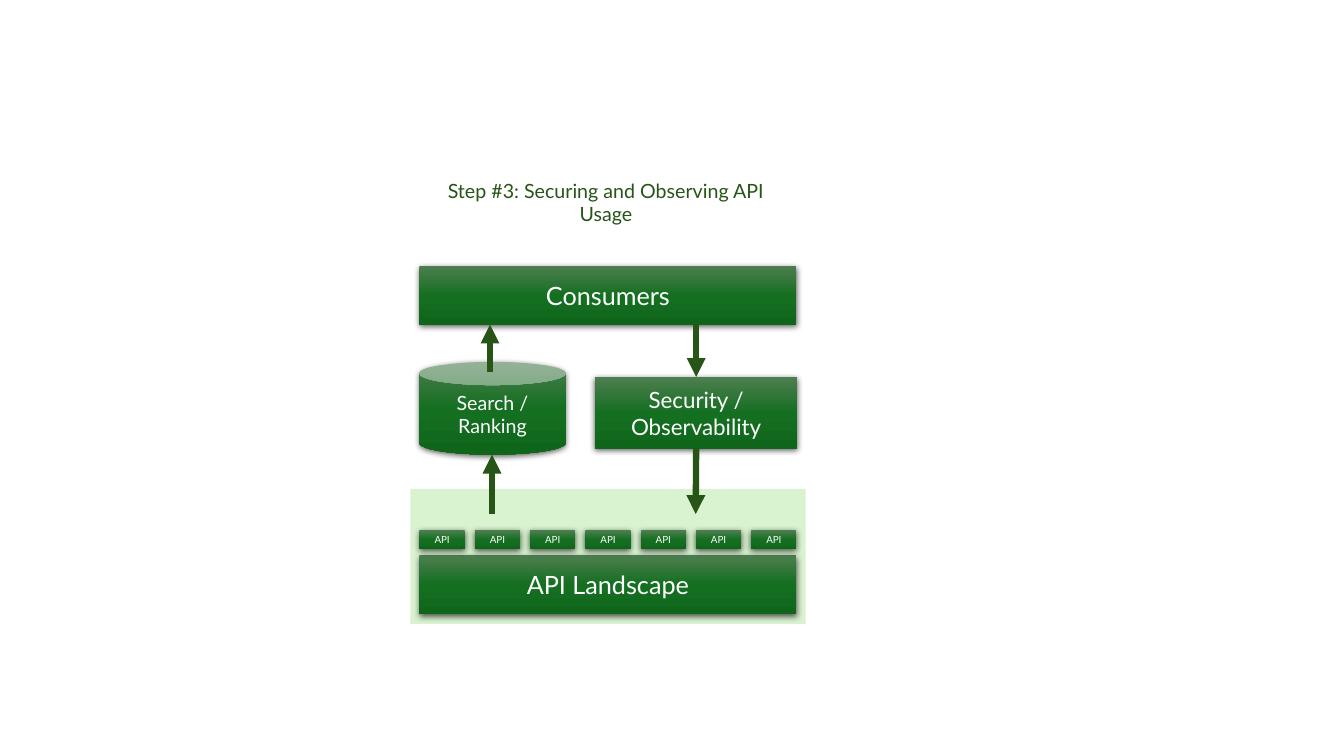
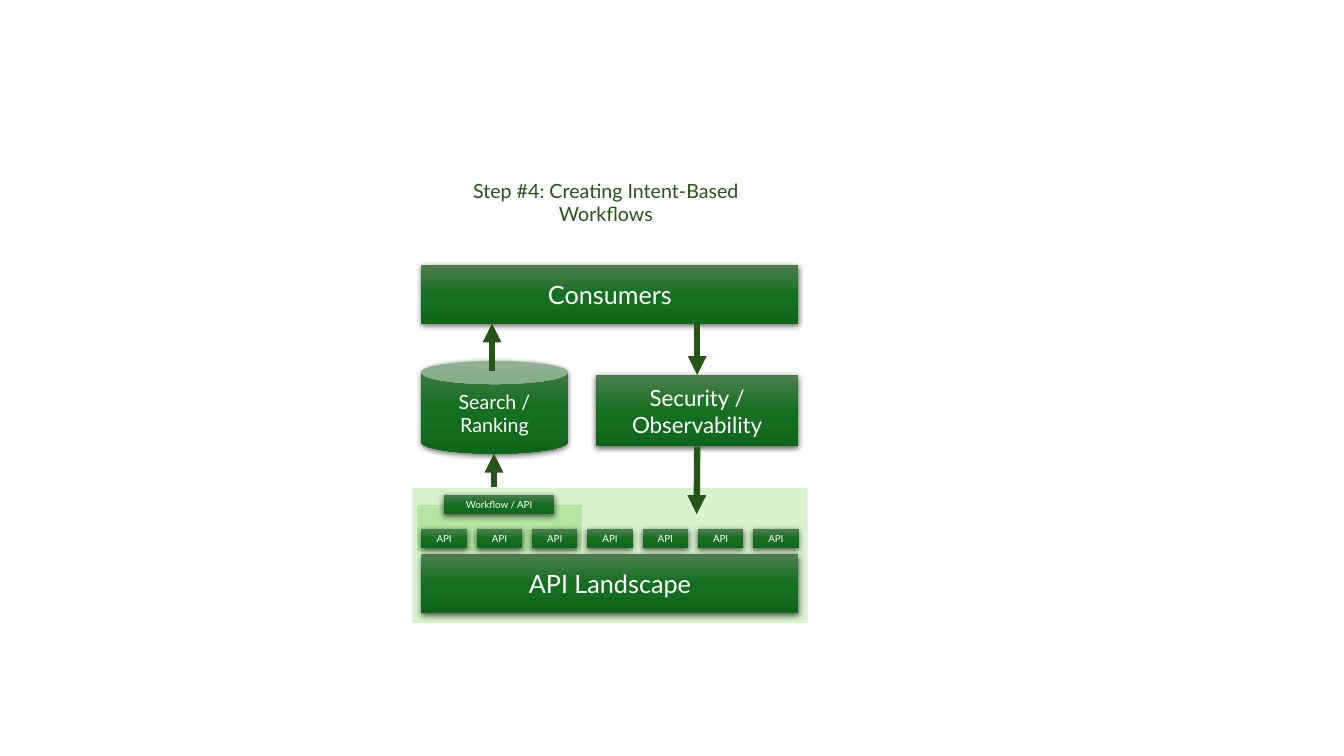
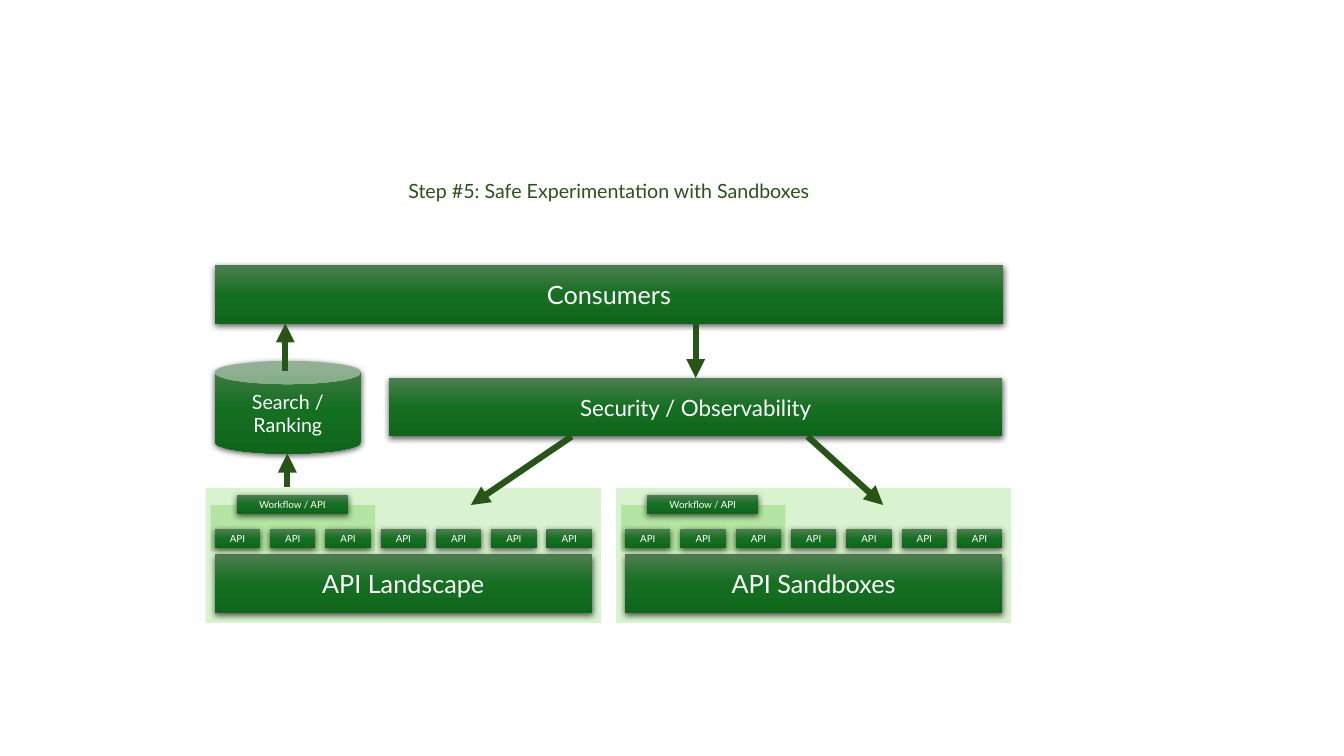
"""Three diagrams of an API landscape and its consumers, step by step."""
from pptx import Presentation
from pptx import util as u
from pptx.dml.color import RGBColor
from pptx.enum import shapes, text
from pptx.oxml import parse_xml
from pptx.oxml.ns import nsdecls

HUES = {"pale": "D9F2D0", "band": "B4E5A2", "dark": "275417", "white": "FFFFFF",
        "top": "4D7E50", "mid": "156F21", "low": "0F661B", "shade": "000000"}
GRAD = f"""<a:gradFill {nsdecls("a")} rotWithShape="1"><a:gsLst>
<a:gs pos="0"><a:srgbClr val="{HUES["top"]}"/></a:gs>
<a:gs pos="50000"><a:srgbClr val="{HUES["mid"]}"/></a:gs>
<a:gs pos="100000"><a:srgbClr val="{HUES["low"]}"/></a:gs>
</a:gsLst><a:lin ang="5400000" scaled="0"/></a:gradFill>"""
GLOW = f"""<a:effectLst {nsdecls("a")}>
<a:outerShdw blurRad="57150" dist="19050" dir="5400000" algn="ctr" rotWithShape="0">
<a:srgbClr val="{HUES["shade"]}"><a:alpha val="63000"/></a:srgbClr>
</a:outerShdw></a:effectLst>"""
HEAD = f'<a:tailEnd {nsdecls("a")} type="triangle"/>'
FLAT = f'<a:effectLst {nsdecls("a")}/>'
RECT, CAN = shapes.MSO_SHAPE.RECTANGLE, shapes.MSO_SHAPE.CAN
BAR, TALL, TAG, COUNT = 3.74, 0.58, 0.45, 7
STEP = (BAR - TAG) / (COUNT - 1)


def write(shape, words, size=18, hue="white", anchor=text.MSO_ANCHOR.MIDDLE):
    """Put centred text in a shape."""
    frame = shape.text_frame
    frame.word_wrap = True
    frame.vertical_anchor = anchor
    frame.text = words
    for par in frame.paragraphs:
        par.alignment = text.PP_ALIGN.CENTER
        par.font.name = "Lato"
        par.font.size = u.Pt(size)
        par.font.color.rgb = RGBColor.from_string(HUES[hue])


def block(slide, left, top, width, height, words="", size=18, kind=RECT, fill=None):
    """Add a plain shape with a fill, or a shaded green one with text."""
    shape = slide.shapes.add_shape(kind, *map(u.Inches, (left, top, width, height)))
    shape.line.fill.background()
    if fill:
        shape.shadow.inherit = False
        shape.fill.solid()
        shape.fill.fore_color.rgb = RGBColor.from_string(HUES[fill])
    else:
        props = shape._element.spPr
        props.insert(2, parse_xml(GRAD))
        props.append(parse_xml(GLOW))
        write(shape, words, size)
    return shape


deck = Presentation()
deck.slide_width, deck.slide_height = u.Inches(13.33), u.Inches(7.5)

steps = [
    dict(title="Step #3: Securing and Observing API Usage", head=(4.15, 3.72, 0.57),
         left=4.16, drop=0.01, wide=BAR, flow=False, guard=(5.9, 3.74, 2.01, 0.71),
         zones=[(4.16, "API Landscape")], fan=[(6.9, 6.9, 5.1)]),
    dict(title="Step #4: Creating Intent-Based Workflows", head=(4.15, 3.72, 0.57),
         left=4.18, drop=0, wide=BAR, flow=True, guard=(5.91, 3.72, 2.01, 0.71),
         zones=[(4.18, "API Landscape")], fan=[(6.91, 6.91, 5.1)]),
    dict(title="Step #5: Safe Experimentation with Sandboxes", head=(2.13, 7.82, 0.34),
         left=2.13, drop=0, wide=7.82, flow=True, guard=(3.86, 3.75, 6.08, TALL),
         zones=[(2.13, "API Landscape"), (6.2, "API Sandboxes")],
         fan=[(5.67, 4.67, 5.01), (8.01, 8.76, 5.01)]),
]

for step in steps:
    slide = deck.slides.add_slide(deck.slide_layouts[5])
    left, drop = step["left"], step["drop"]

    for x, name in step["zones"]:
        block(slide, x - 0.09, 4.84 + drop, 3.92, 1.34, fill="pale")
        if step["flow"]:
            block(slide, x - 0.04, 5.01 + drop, 1.63, 0.46, fill="band")
        block(slide, x, 5.5 + drop, BAR, TALL, name)
        for i in range(COUNT):
            block(slide, x + i * STEP, 5.25 + drop, TAG, 0.19, "API", 7)
        if step["flow"]:
            block(slide, x + 0.22, 4.91 + drop, 1.1, 0.19, "Workflow / API", 7)

    block(slide, left, 3.58 + drop, 1.45, 0.92, "Search /\vRanking", 14, CAN)
    guard = block(slide, *step["guard"], "Security / Observability", 16)
    block(slide, left, 2.63 + drop, step["wide"], TALL, "Consumers")

    gx, gy, gw, gh = step["guard"]
    mid, foot = gx + gw / 2, gy + gh
    rise = 4.83 if step["flow"] else 5.1
    lines = [(left + 0.7, 3.68 + drop, left + 0.7, 3.21 + drop),
             (left + 0.72, rise, left + 0.72, 4.5 + drop),
             (mid, 3.21 + drop, mid, gy)]
    lines += [(x, foot, end, low) for x, end, low in step["fan"]]
    for x, y, end, low in lines:
        arrow = slide.shapes.add_connector(
            shapes.MSO_CONNECTOR.STRAIGHT, *map(u.Inches, (x, y, end, low)))
        arrow.line.width = u.Pt(4.5)
        arrow.line.color.rgb = RGBColor.from_string(HUES["dark"])
        arrow.line._get_or_add_ln().append(parse_xml(HEAD))
        arrow._element.spPr.append(parse_xml(FLAT))
        if low == gy:
            arrow.end_connect(guard, 0)
        elif y == foot and abs(x - mid) < 0.02:
            arrow.begin_connect(guard, 2)

    title = slide.shapes.title
    x, width, height = step["head"]
    title.left, title.top = u.Inches(x), u.Inches(1.72)
    title.width, title.height = u.Inches(width), u.Inches(height)
    write(title, step["title"], 14, "dark", text.MSO_ANCHOR.TOP)
    title.text_frame.auto_size = text.MSO_AUTO_SIZE.SHAPE_TO_FIT_TEXT

deck.save("out.pptx")
